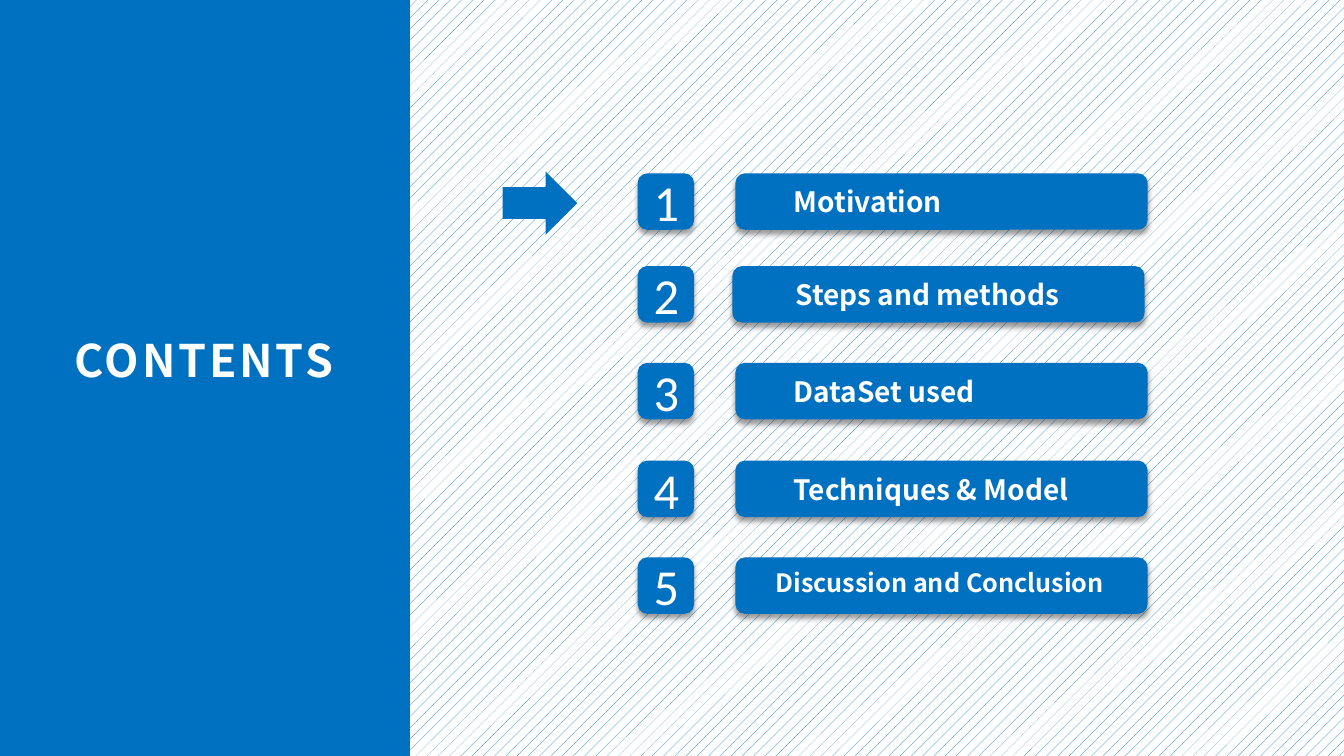
from lxml.etree import SubElement
from pptx import Presentation
from pptx.dml.color import RGBColor
from pptx.enum.dml import MSO_PATTERN
from pptx.enum.shapes import MSO_SHAPE
from pptx.enum.text import MSO_ANCHOR, PP_ALIGN
from pptx.oxml.ns import qn
from pptx.util import Pt

PX = 9144  # 100 px to the inch
BLUE = RGBColor(0x00, 0x70, 0xC0)
WHITE = RGBColor(0xFF, 0xFF, 0xFF)
HEADING_FONT = "Noto Sans CJK SC"
NUMBER_FONT = "Calibri"
TILE = 56
BAR_WIDTH = 409

# top, bar left, text indent, font size, bottom inset, label
ENTRIES = [
    (172, 730, 55, 20, 0, "Motivation"),
    (264, 727, 60, 20, 0, "Steps and methods"),
    (360, 730, 55, 20, 0, "DataSet used"),
    (457, 730, 55, 20, 0, "Techniques & Model"),
    (553, 730, 37, 18, 6, "Discussion and Conclusion"),
]


def emu(*lengths):
    return [length * PX for length in lengths]


def add_blue_shape(slide, kind, box):
    shape = slide.shapes.add_shape(kind, *emu(*box))
    shape.shadow.inherit = False
    shape.fill.solid()
    shape.fill.fore_color.rgb = BLUE
    shape.line.fill.background()
    return shape


def add_drop_shadow(shape):
    effects = shape._element.spPr.find(qn("a:effectLst"))
    shadow = SubElement(effects, qn("a:outerShdw"), blurRad=str(Pt(4)),
                        dist=str(Pt(3)), dir="5400000", algn="t", rotWithShape="0")
    color = SubElement(shadow, qn("a:srgbClr"), val="000000")
    SubElement(color, qn("a:alpha"), val="40000")


def write(shape, text, font_name, size, alignment, insets, bold=False):
    """Fill a shape with one white line; insets are left, top, right, bottom."""
    frame = shape.text_frame
    frame.word_wrap = True
    frame.vertical_anchor = MSO_ANCHOR.MIDDLE
    (frame.margin_left, frame.margin_top,
     frame.margin_right, frame.margin_bottom) = emu(*insets)
    paragraph = frame.paragraphs[0]
    paragraph.alignment = alignment
    run = paragraph.add_run()
    run.text = text
    run.font.name = font_name
    run.font.size = Pt(size)
    run.font.bold = bold
    run.font.color.rgb = WHITE
    properties = run._r.get_or_add_rPr()
    latin = properties.find(qn("a:latin"))
    east_asian = SubElement(properties, qn("a:ea"), typeface=font_name)
    latin.addnext(east_asian)
    return run


def add_title_panel(slide, box):
    left, top, width, height = box
    panel = add_blue_shape(slide, MSO_SHAPE.RECTANGLE, box)
    title = slide.shapes.title
    panel._element.getparent().insert(2, panel._element)
    title.left, title.top, title.width, title.height = emu(
        left + 37, top + 315, width - 100, 84)
    run = write(title, "CONTENTS", HEADING_FONT, 32, PP_ALIGN.RIGHT,
                (13, 7, 13, 7), bold=True)
    run._r.get_or_add_rPr().set("spc", "200")


def add_entry(slide, number, left, entry):
    top, bar_left, indent, size, bottom_inset, label = entry
    tile = add_blue_shape(slide, MSO_SHAPE.ROUNDED_RECTANGLE, (left, top, TILE, TILE))
    bar = add_blue_shape(slide, MSO_SHAPE.ROUNDED_RECTANGLE,
                         (bar_left, top, BAR_WIDTH, TILE))
    for shape in (tile, bar):
        add_drop_shadow(shape)
    write(tile, str(number), NUMBER_FONT, 36, PP_ALIGN.CENTER, (13, 7, 13, 7))
    write(bar, label, HEADING_FONT, size, PP_ALIGN.LEFT,
          (indent, 0, 0, bottom_inset), bold=True)


def main():
    presentation = Presentation()
    presentation.slide_width, presentation.slide_height = emu(1334, 750)
    slide = presentation.slides.add_slide(presentation.slide_layouts[5])
    background = slide.background.fill
    background.patterned()
    background.pattern = MSO_PATTERN.PERCENT_10
    background.fore_color.rgb = BLUE
    background.back_color.rgb = WHITE

    add_title_panel(slide, (0, 0, 407, 750))
    for number, entry in enumerate(ENTRIES, start=1):
        add_entry(slide, number, 633, entry)
    add_blue_shape(slide, MSO_SHAPE.RIGHT_ARROW, (499, 170, 74, 63))
    presentation.save("out.pptx")


if __name__ == "__main__":
    main()
